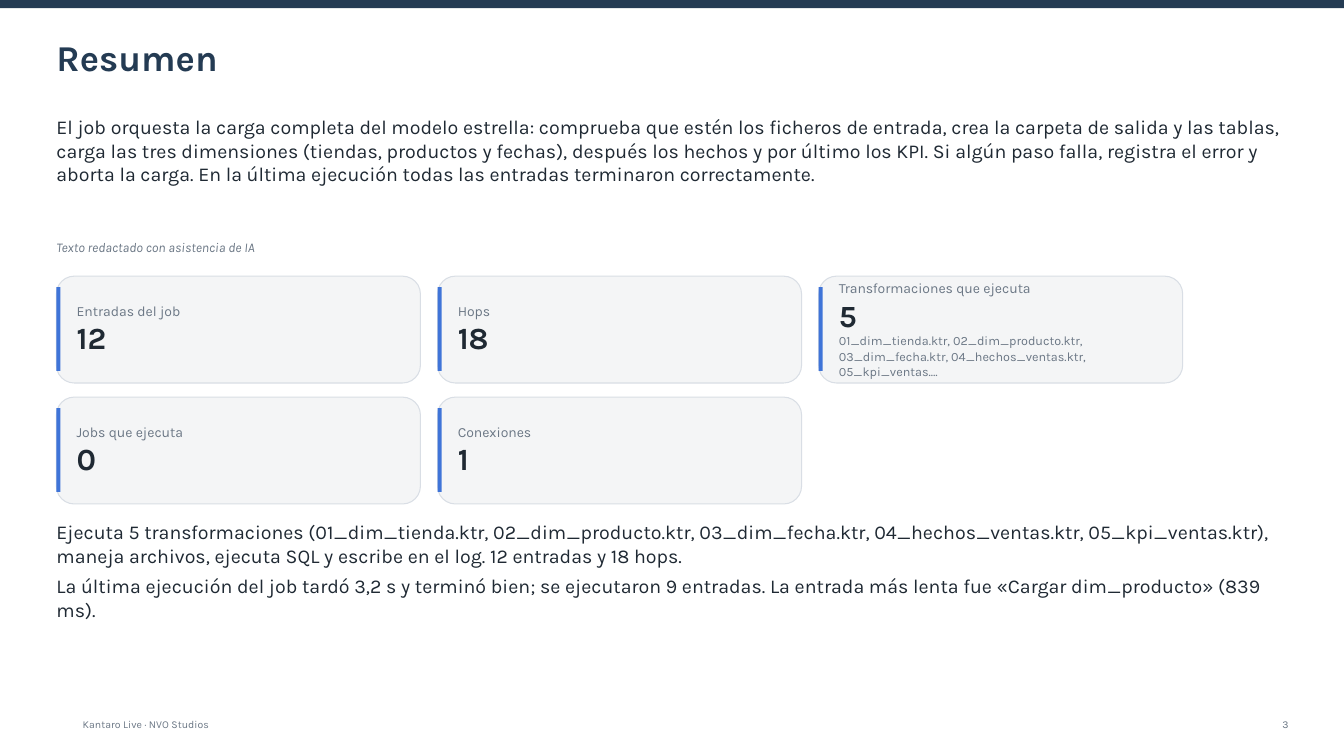
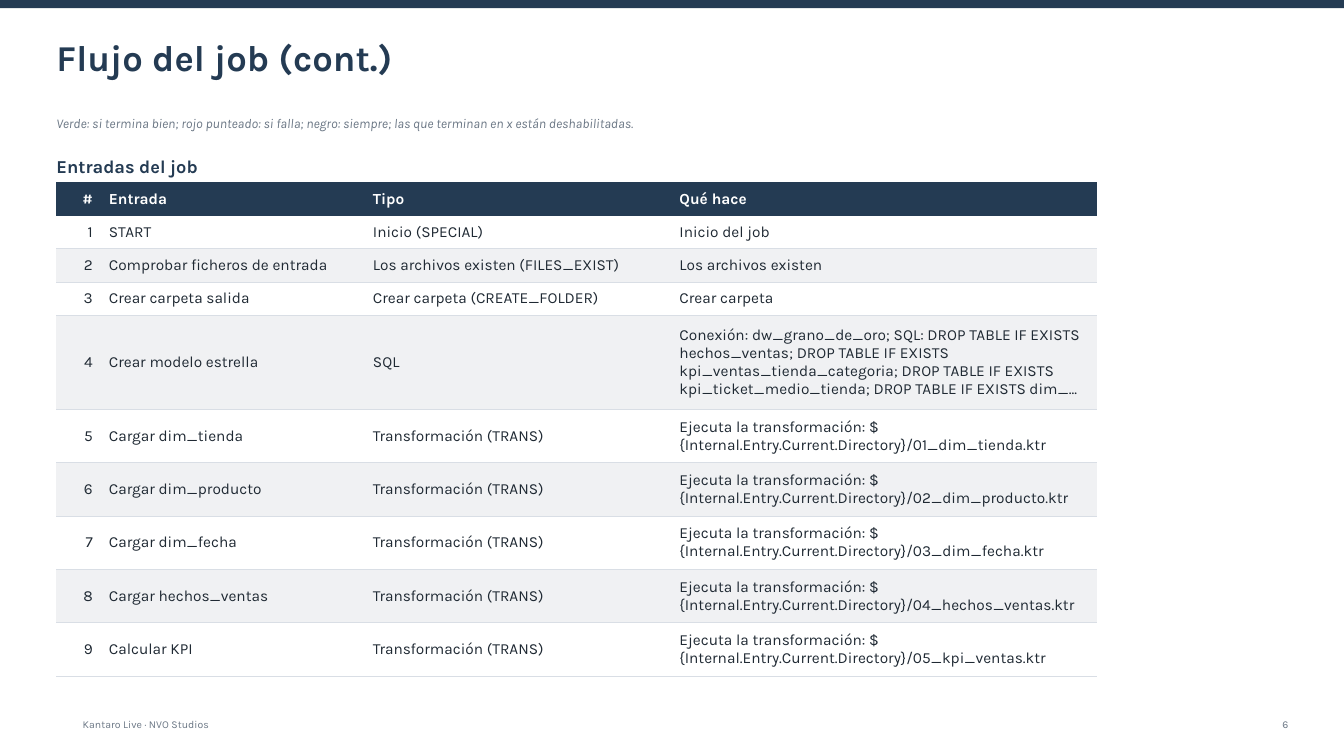
"""Build the job report: a summary with figure cards and a table of job entries."""
import lxml.etree
import pptx
import pptx.dml.color
import pptx.enum.shapes
import pptx.enum.text
import pptx.oxml
import pptx.oxml.ns
import pptx.util

Inches = pptx.util.Inches
Pt = pptx.util.Pt
Kind = pptx.enum.shapes.MSO_SHAPE
Align = pptx.enum.text.PP_ALIGN
Anchor = pptx.enum.text.MSO_ANCHOR

FONT = "Karla"
NAVY = "243B53"
INK = "1F2933"
GREY = "6B7785"
BLUE = "3F74D8"
CARD = "F4F5F6"
RULE = "D9DEE5"
BAND = "F0F1F3"
WHITE = "FFFFFF"
LEFT = 0.56
WIDE = 12.22
PLAIN = "{2D5ABB26-0587-4C30-8999-92F81FD0307C}"


def paint(fill, hue):
    """Make a fill solid in the given hex colour."""
    fill.solid()
    fill.fore_color.rgb = pptx.dml.color.RGBColor.from_string(hue)


def write(home, text, size=14, hue=INK, bold=False, slant=False, align=Align.LEFT,
          anchor=Anchor.TOP, side=0, edge=0.03, after=0):
    """Add one paragraph to a text frame or table cell."""
    frame = getattr(home, "text_frame", home)
    home.margin_left = home.margin_right = Inches(side)
    home.margin_top = home.margin_bottom = Inches(edge)
    home.vertical_anchor = anchor
    frame.word_wrap = True
    para = frame.add_paragraph() if frame.text else frame.paragraphs[0]
    para.alignment = align
    para.space_after = Pt(after)
    run = para.add_run()
    run.text = text
    font = run.font
    font.name, font.size = FONT, Pt(size)
    font.bold, font.italic = bold, slant
    paint(font.fill, hue)


deck = pptx.Presentation()
deck.slide_width = Inches(13.33)
deck.slide_height = Inches(7.5)

pages = []
for title, number in [("Resumen", "3"), ("Flujo del job (cont.)", "6")]:
    page = deck.slides.add_slide(deck.slide_layouts[6]).shapes
    pages.append(page)
    bar = page.add_shape(Kind.RECTANGLE, 0, 0, deck.slide_width, Inches(0.08))
    bar.shadow.inherit = False
    paint(bar.fill, NAVY)
    bar.line.fill.background()
    box = page.add_textbox(Inches(LEFT), Inches(0.22), Inches(WIDE), Inches(0.69))
    write(box.text_frame, title, size=26, hue=NAVY, bold=True, anchor=Anchor.MIDDLE, edge=0.05)
    for text, left, width, align in [
        ("Kantaro Live · NVO Studios", 0.82, 5.56, Align.LEFT),
        (number, 11.11, 1.67, Align.RIGHT),
    ]:
        box = page.add_textbox(Inches(left), Inches(7.06), Inches(width), Inches(0.25))
        write(box.text_frame, text, size=7.5, hue=GREY, align=align, anchor=Anchor.MIDDLE)
brief, flow = pages

body = {"after": 4.9}
note = {"size": 9.5, "hue": GREY, "slant": True}
head = {"size": 13, "hue": NAVY, "bold": True}
for page, top, height, style, lines in [
    (brief, 1.11, 1.18, body, [
        "El job orquesta la carga completa del modelo estrella: comprueba que estén los ficheros "
        "de entrada, crea la carpeta de salida y las tablas, carga las tres dimensiones (tiendas, "
        "productos y fechas), después los hechos y por último los KPI. Si algún paso falla, "
        "registra el error y aborta la carga. En la última ejecución todas las entradas "
        "terminaron correctamente."]),
    (brief, 2.34, 0.26, note, ["Texto redactado con asistencia de IA"]),
    (brief, 5.13, 1.33, body, [
        "Ejecuta 5 transformaciones (01_dim_tienda.ktr, 02_dim_producto.ktr, 03_dim_fecha.ktr, "
        "04_hechos_ventas.ktr, 05_kpi_ventas.ktr), maneja archivos, ejecuta SQL y escribe en el "
        "log. 12 entradas y 18 hops.",
        "La última ejecución del job tardó 3,2 s y terminó bien; se ejecutaron 9 entradas. La "
        "entrada más lenta fue «Cargar dim_producto» (839 ms)."]),
    (flow, 1.11, 0.26, note, [
        "Verde: si termina bien; rojo punteado: si falla; negro: siempre; las que terminan en x "
        "están deshabilitadas."]),
    (flow, 1.51, 0.28, head, ["Entradas del job"]),
]:
    box = page.add_textbox(Inches(LEFT), Inches(top), Inches(WIDE), Inches(height))
    for line in lines:
        write(box.text_frame, line, **style)

cards = [
    ("Entradas del job", "12", ""),
    ("Hops", "18", ""),
    ("Transformaciones que ejecuta", "5",
     "01_dim_tienda.ktr, 02_dim_producto.ktr, 03_dim_fecha.ktr, 04_hechos_ventas.ktr, "
     "05_kpi_ventas.…"),
    ("Jobs que ejecuta", "0", ""),
    ("Conexiones", "1", ""),
]
for i, (label, value, files) in enumerate(cards):
    left = LEFT + i % 3 * 3.78
    top = 2.74 + i // 3 * 1.2
    card = brief.add_shape(Kind.ROUNDED_RECTANGLE, Inches(left), Inches(top),
                           Inches(3.61), Inches(1.06))
    paint(card.fill, CARD)
    paint(card.line.fill, RULE)
    card.line.width = Pt(0.75)
    mark = brief.add_shape(Kind.RECTANGLE, Inches(left), Inches(top + 0.11),
                           Inches(0.04), Inches(0.83))
    paint(mark.fill, BLUE)
    mark.line.fill.background()
    card.shadow.inherit = mark.shadow.inherit = False
    box = brief.add_textbox(Inches(left + 0.2), Inches(top + 0.08), Inches(3.28), Inches(0.89))
    write(box.text_frame, label, size=10, hue=GREY, anchor=Anchor.MIDDLE)
    write(box.text_frame, value, size=22, bold=True, anchor=Anchor.MIDDLE)
    if files:
        write(box.text_frame, files, size=9, hue=GREY, anchor=Anchor.MIDDLE)

trans = "Transformación (TRANS)"
run_of = "Ejecuta la transformación: ${Internal.Entry.Current.Directory}/"
steps = [
    ("Entrada", "Tipo", "Qué hace"),
    ("START", "Inicio (SPECIAL)", "Inicio del job"),
    ("Comprobar ficheros de entrada", "Los archivos existen (FILES_EXIST)",
     "Los archivos existen"),
    ("Crear carpeta salida", "Crear carpeta (CREATE_FOLDER)", "Crear carpeta"),
    ("Crear modelo estrella", "SQL",
     "Conexión: dw_grano_de_oro; SQL: DROP TABLE IF EXISTS hechos_ventas; DROP TABLE IF EXISTS "
     "kpi_ventas_tienda_categoria; DROP TABLE IF EXISTS kpi_ticket_medio_tienda; DROP TABLE IF "
     "EXISTS dim_..."),
    ("Cargar dim_tienda", trans, run_of + "01_dim_tienda.ktr"),
    ("Cargar dim_producto", trans, run_of + "02_dim_producto.ktr"),
    ("Cargar dim_fecha", trans, run_of + "03_dim_fecha.ktr"),
    ("Cargar hechos_ventas", trans, run_of + "04_hechos_ventas.ktr"),
    ("Calcular KPI", trans, run_of + "05_kpi_ventas.ktr"),
]
widths = [0.44, 2.62, 3.04, 4.22]
heights = [0.33] * 4 + [0.93] + [0.53] * 5
grid = flow.add_table(len(steps), len(widths), Inches(LEFT), Inches(1.81),
                      Inches(sum(widths)), Inches(sum(heights))).table
grid.first_row = grid.horz_banding = False
grid._tbl.tblPr.find(pptx.oxml.ns.qn("a:tableStyleId")).text = PLAIN
for col, width in zip(grid.columns, widths):
    col.width = Inches(width)
for r, (step, height) in enumerate(zip(steps, heights)):
    grid.rows[r].height = Inches(height)
    top = r == 0
    for c, text in enumerate((str(r) if r else "#",) + step):
        cell = grid.cell(r, c)
        write(cell, text, size=11, hue=WHITE if top else INK, bold=top,
              align=Align.LEFT if c else Align.RIGHT, anchor=Anchor.MIDDLE,
              side=0.08, edge=0.04)
        paint(cell.fill, NAVY if top else WHITE if r % 2 else BAND)
        rule = pptx.oxml.parse_xml(
            f'<a:lnB {pptx.oxml.ns.nsdecls("a")} w="{Pt(0.75)}"><a:solidFill>'
            f'<a:srgbClr val="{NAVY if top else RULE}"/></a:solidFill></a:lnB>')
        cell._tc.tcPr.insert(0, rule)

deck.save("out.pptx")
